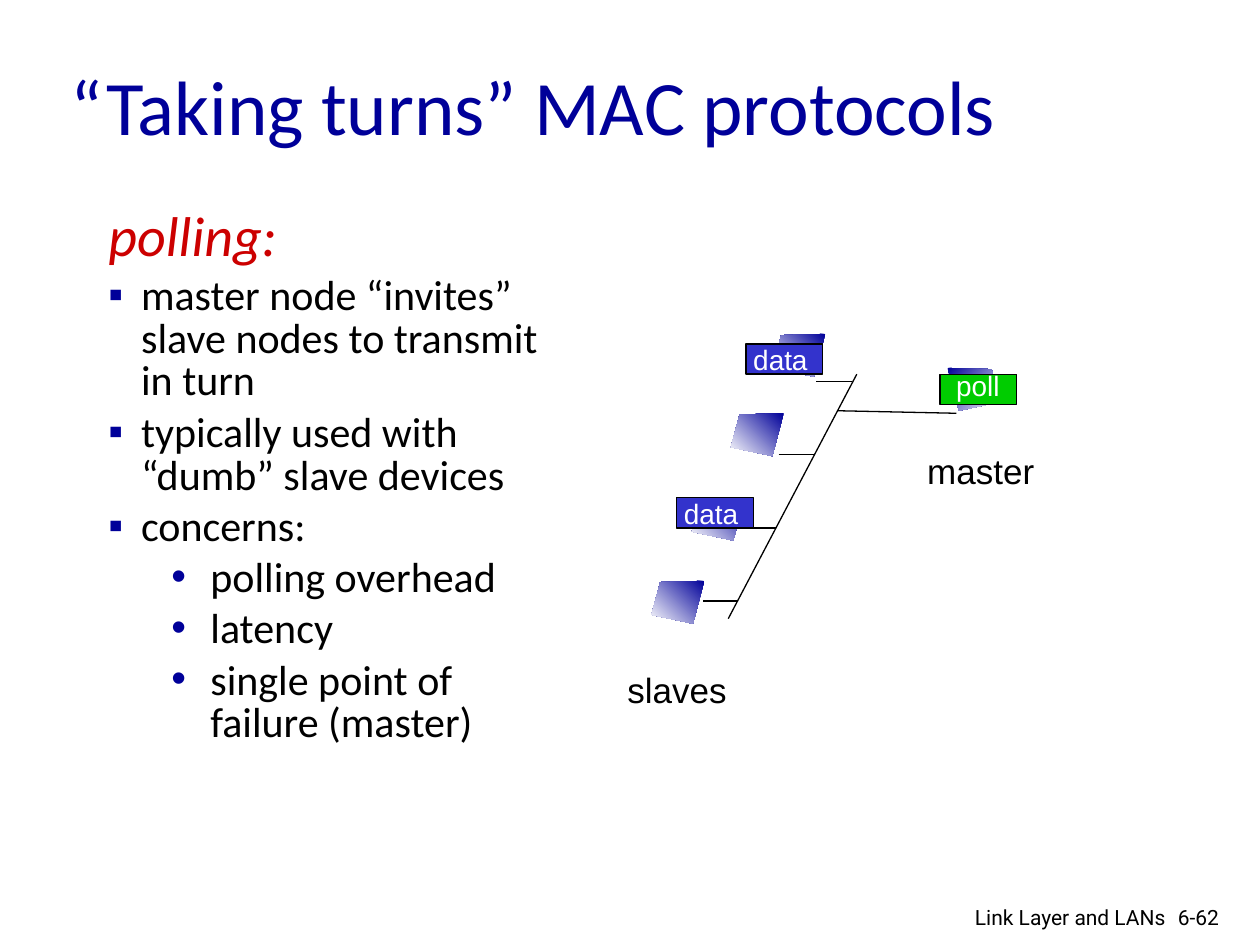
import pptx
import pptx.dml.color
import pptx.enum.shapes
import pptx.enum.text
import pptx.oxml
import pptx.oxml.ns
import pptx.util
from pptx.util import Inches

NAVY = pptx.dml.color.RGBColor(0x00, 0x00, 0x99)
RED = pptx.dml.color.RGBColor(0xCC, 0x00, 0x00)
BLUE = pptx.dml.color.RGBColor(0x33, 0x33, 0xCC)
GREEN = pptx.dml.color.RGBColor(0x00, 0xCC, 0x00)
BLACK = pptx.dml.color.RGBColor(0x00, 0x00, 0x00)
WHITE = pptx.dml.color.RGBColor(0xFF, 0xFF, 0xFF)

LEFT = pptx.enum.text.PP_ALIGN.LEFT
RIGHT = pptx.enum.text.PP_ALIGN.RIGHT
NODE_WIDTH = 0.42
NODE_OUTLINE = [(0.42, 0), (0.07, 0.01), (0, 0.27), (0.33, 0.34)]


def place(shape, left, top, width, height):
    shape.left, shape.top = Inches(left), Inches(top)
    shape.width, shape.height = Inches(width), Inches(height)


def add_run(paragraph, text, font_name, size, color, italic=False):
    run = paragraph.add_run()
    run.text = text
    run.font.name = font_name
    run.font.size = pptx.util.Pt(size)
    run.font.italic = italic
    run.font.color.rgb = color


def add_label(slide, box, text, font_name, size, color, alignment=LEFT, wrap=False):
    shape = slide.shapes.add_textbox(*[Inches(length) for length in box])
    shape.text_frame.word_wrap = wrap
    paragraph = shape.text_frame.paragraphs[0]
    paragraph.alignment = alignment
    add_run(paragraph, text, font_name, size, color)


def set_bullet(paragraph, character, margin, indent):
    properties = paragraph._p.get_or_add_pPr()
    properties.set("marL", str(Inches(margin)))
    properties.set("indent", str(Inches(indent)))
    namespace = pptx.oxml.ns.nsdecls("a")
    if character:
        parts = [
            f'<a:buClr {namespace}><a:srgbClr val="{NAVY}"/></a:buClr>',
            f'<a:buFont {namespace} typeface="Arial"/>',
            f'<a:buChar {namespace} char="{character}"/>',
        ]
    else:
        parts = [f"<a:buNone {namespace}/>"]
    for part in parts:
        properties.append(pptx.oxml.parse_xml(part))


def add_line(slide, start, end):
    connector = slide.shapes.add_connector(
        pptx.enum.shapes.MSO_CONNECTOR.STRAIGHT,
        *[Inches(length) for length in start + end])
    connector.line.color.rgb = BLACK
    connector.line.width = pptx.util.Pt(0.75)
    namespace = pptx.oxml.ns.nsdecls("a")
    connector._element.spPr.append(pptx.oxml.parse_xml(f"<a:effectLst {namespace}/>"))


def add_node(slide, left, top, mirrored=False):
    points = [(Inches(left + (NODE_WIDTH - x if mirrored else x)), Inches(top + y))
              for x, y in NODE_OUTLINE]
    builder = slide.shapes.build_freeform(*points[0])
    builder.add_line_segments(points[1:], close=True)
    shape = builder.convert_to_shape()
    shape.shadow.inherit = False
    shape.line.fill.background()
    shape.fill.gradient()
    shape.fill.gradient_angle = 315 if mirrored else 225
    for stop, color, position in zip(shape.fill.gradient_stops, (NAVY, WHITE), (0, 1)):
        stop.color.rgb = color
        stop.position = position


def add_frame(slide, left, top, text, color, text_box):
    shape = slide.shapes.add_shape(
        pptx.enum.shapes.MSO_SHAPE.RECTANGLE,
        Inches(left), Inches(top), Inches(0.61), Inches(0.24))
    shape.shadow.inherit = False
    shape.fill.solid()
    shape.fill.fore_color.rgb = color
    shape.line.color.rgb = BLACK
    shape.line.width = pptx.util.Pt(0.75)
    x, y, width, height = text_box
    add_label(slide, (left + x, top + y, width, height), text, "Arial", 16, WHITE)


def fill_title(slide, box):
    title = slide.shapes.title
    place(title, *box)
    frame = title.text_frame
    frame.auto_size = pptx.enum.text.MSO_AUTO_SIZE.NONE
    frame.vertical_anchor = pptx.enum.text.MSO_ANCHOR.MIDDLE
    frame.paragraphs[0].alignment = LEFT
    add_run(frame.paragraphs[0], "“Taking turns” MAC protocols", "Calibri", 44, NAVY)


def fill_body(slide, box):
    body = slide.placeholders[1]
    place(body, *box)
    frame = body.text_frame
    frame.auto_size = pptx.enum.text.MSO_AUTO_SIZE.NONE
    heading = frame.paragraphs[0]
    set_bullet(heading, None, 0.38, -0.38)
    heading.line_spacing = 0.85
    heading.space_before = pptx.util.Pt(0)
    add_run(heading, "polling:", "Calibri", 32, RED, italic=True)
    items = [
        (0, "master node “invites” slave nodes to transmit in turn"),
        (0, "typically used with “dumb” slave devices"),
        (0, "concerns:"),
        (1, "polling overhead"),
        (1, "latency"),
        (1, "single point of failure (master)"),
    ]
    bullets = [("▪", 0.26, -0.26), ("•", 0.81, -0.31)]
    for level, text in items:
        paragraph = frame.add_paragraph()
        paragraph.level = level
        set_bullet(paragraph, *bullets[level])
        paragraph.line_spacing = 0.85
        add_run(paragraph, text, "Calibri", 24, BLACK)


def draw_polling(slide, left, top):
    for x, y in [(0.29, 1.96), (0.61, 1.3), (0.92, 0.63), (1.25, 0)]:
        add_node(slide, left + x, top + y)
    add_node(slide, left + 2.64, top + 0.27, mirrored=True)

    add_line(slide, (left + 1.92, top + 0.32), (left + 0.9, top + 2.26))
    add_line(slide, (left + 1.77, top + 0.61), (left + 2.71, top + 0.63))
    for index in range(4):
        x, y = left + 1.6 - 0.3 * index, top + 0.38 + 0.58 * index
        add_line(slide, (x, y), (x + 0.28, y))

    add_label(slide, (left + 2.38, top + 0.87, 1.05, 0.43), "master", "Arial", 20, BLACK)
    add_label(slide, (left, top + 2.61, 0.99, 0.43), "slaves", "Arial", 20, BLACK)
    add_frame(slide, left + 2.58, top + 0.32, "poll", GREEN, (0.03, -0.09, 0.6, 0.37))
    for x, y in [(0.49, 1.3), (1.04, 0.08)]:
        add_frame(slide, left + x, top + y, "data", BLUE, (-0.04, -0.06, 0.7, 0.37))


def add_footer(slide, left, top):
    add_label(slide, (left + 2.28, top, 0.6, 0.3), "6-62", "Roboto", 12, BLACK, wrap=True)
    add_label(slide, (left, top, 2.38, 0.26), "Link Layer and LANs", "Roboto", 12, BLACK,
              RIGHT, wrap=True)


def main():
    presentation = pptx.Presentation()
    presentation.slide_width = Inches(10)
    presentation.slide_height = Inches(7.5)
    slide = presentation.slides.add_slide(presentation.slide_layouts[1])
    fill_title(slide, (0.46, 0.21, 8.5, 1.25))
    fill_body(slide, (0.76, 1.62, 3.78, 5.54))
    draw_polling(slide, 4.88, 2.65)
    add_footer(slide, 6.97, 7.13)
    presentation.save("out.pptx")


if __name__ == "__main__":
    main()
